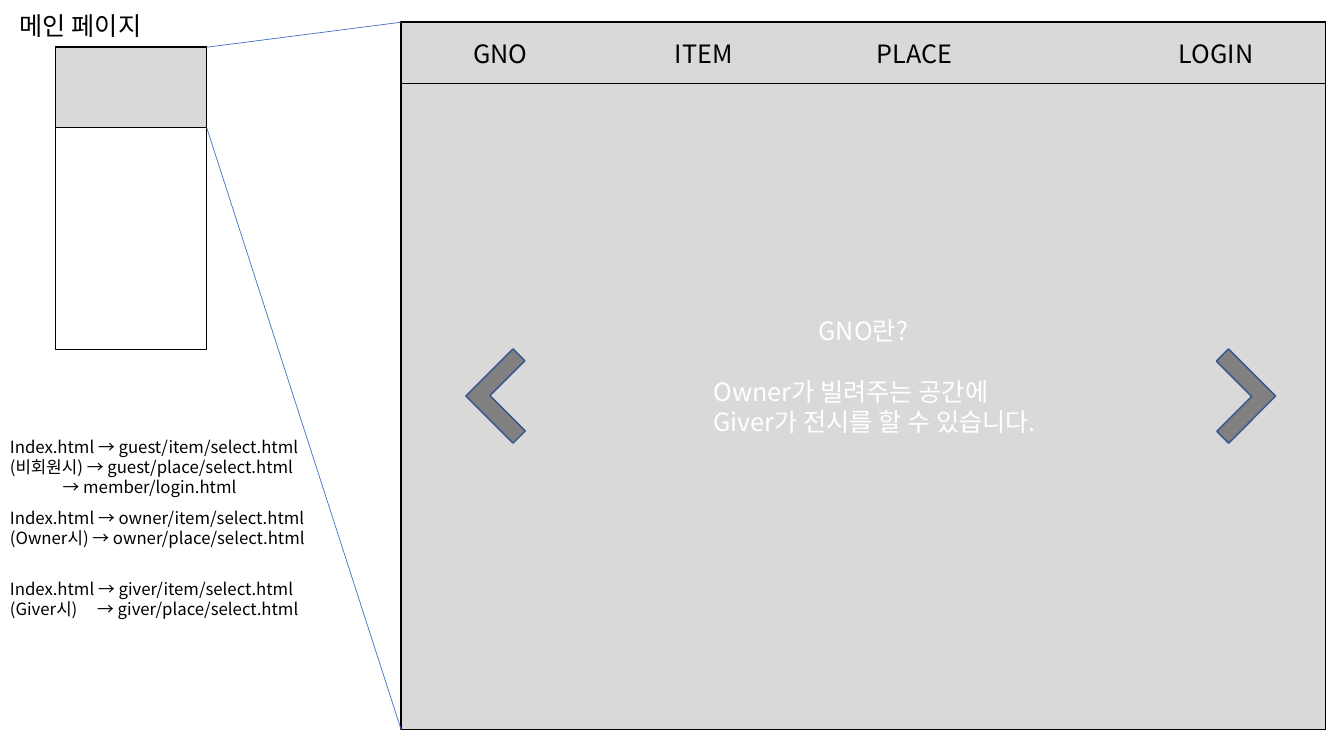
import pptx
import pptx.util
import pptx.dml.color
import pptx.enum.shapes
import pptx.enum.text
import pptx.oxml
import pptx.oxml.ns

Cm, Pt = pptx.util.Cm, pptx.util.Pt
RGB = pptx.dml.color.RGBColor
KIND = pptx.enum.shapes.MSO_SHAPE
ALIGN = pptx.enum.text.PP_ALIGN
ANCHOR = pptx.enum.text.MSO_ANCHOR

BLACK = RGB(0x00, 0x00, 0x00)
WHITE = RGB(0xFF, 0xFF, 0xFF)
PALE = RGB(0xD9, 0xD9, 0xD9)
GREY = RGB(0x80, 0x80, 0x80)
BLUE = RGB(0x44, 0x72, 0xC4)
NAVY = RGB(0x32, 0x54, 0x91)
FONT = "Noto Sans CJK KR"


def add_sub(node, tag, **attrs):
    """Append an XML child with the given attributes."""
    item = node.makeelement(pptx.oxml.ns.qn(tag), attrs)
    node.append(item)
    return item


def add_form(slide, box, fill, line=BLACK, kind=KIND.RECTANGLE):
    """Draw a filled, outlined preset shape in the box."""
    form = slide.shapes.add_shape(kind, *map(Cm, box))
    form.shadow.inherit = False
    form.fill.solid()
    form.fill.fore_color.rgb = fill
    form.line.color.rgb = line
    form.line.width = Pt(1)
    return form


def add_line(slide, start, end):
    """Draw a thin blue line between two points."""
    line = slide.shapes.add_connector(
        pptx.enum.shapes.MSO_CONNECTOR.STRAIGHT, *map(Cm, start + end))
    line.line.color.rgb = BLUE
    line.line.width = Pt(0.5)
    add_sub(line._element.spPr, "a:effectLst")


def add_para(frame, text, size=18, color=BLACK, align=ALIGN.LEFT,
             indent=0, tabs=()):
    """Add one paragraph with one run; indent and tab stops are in cm."""
    para = frame.paragraphs[0]
    if para.runs:
        para = frame.add_paragraph()
    para.alignment = align
    props = para._p.get_or_add_pPr()
    if indent:
        props.set("marL", str(Cm(indent)))
        props.set("indent", "0")
    if tabs:
        stops = add_sub(props, "a:tabLst")
        for pos in tabs:
            add_sub(stops, "a:tab", pos=str(Cm(pos)), algn="l")
    run = para.add_run()
    run.text = text
    run.font.size = Pt(size)
    run.font.name = FONT
    run.font.color.rgb = color
    add_sub(run._r.get_or_add_rPr(), "a:ea", typeface=FONT)
    return para


def add_text(slide, box):
    """Add an empty wrapping text box and return its frame."""
    frame = slide.shapes.add_textbox(*map(Cm, box)).text_frame
    frame.word_wrap = True
    return frame


def draw_thumb(slide, box, head):
    """Draw the small page with its shaded head and the title above it."""
    left, top, width, _ = box
    add_form(slide, box, WHITE)
    add_form(slide, (left, top, width, head), PALE)
    frame = add_text(slide, (left - 1.15, top - 1.06, 3.94, 1.02))
    frame.word_wrap = False
    add_para(frame, "메인 페이지")


def draw_main(slide, box):
    """Draw the enlarged head: menu bar, message and two arrows."""
    left, top, width, _ = box
    frame = add_form(slide, box, PALE).text_frame
    frame.vertical_anchor = ANCHOR.MIDDLE
    add_para(frame, "GNO란?", color=WHITE, align=ALIGN.CENTER)
    lead = add_para(frame, "Owner가 빌려주는 공간에", color=WHITE, indent=7.62)
    lead.space_before = Pt(21.6)
    add_para(frame, "Giver가 전시를 할 수 있습니다.", color=WHITE, indent=7.62)

    frame = add_form(slide, (left, top, width, 1.55), PALE).text_frame
    frame.vertical_anchor = ANCHOR.MIDDLE
    frame.margin_left = Cm(1.82)
    add_para(frame, "GNO\tITEM\tPLACE\tLOGIN", tabs=(5.08, 10.16, 17.78))

    side = 1.68
    for place, turn in ((1.98, 45), (width - side - 1.6, 225)):
        arrow = add_form(slide, (left + place, top + 8.58, side, side),
                         GREY, NAVY, KIND.CORNER)
        arrow.rotation = turn
        arrow.adjustments[0] = 0.26
        arrow.adjustments[1] = 0.25


def draw_notes(slide, box):
    """List the page routes of each kind of user, one block below another."""
    left, top, width, height = box
    blocks = (
        (("Index.html → guest/item/select.html", {}),
         ("(비회원시) → guest/place/select.html", {}),
         ("→ member/login.html", {"indent": 1.33})),
        (("Index.html → owner/item/select.html", {}),
         ("(Owner시) → owner/place/select.html", {})),
        (("Index.html → giver/item/select.html", {}),
         ("(Giver시)\t→ giver/place/select.html", {"tabs": (2.2,)})),
    )
    step = height / len(blocks)
    for row, block in enumerate(blocks):
        frame = add_text(slide, (left, top + row * step, width, step))
        for text, style in block:
            add_para(frame, text, 12, **style)


def build():
    """Build the slide and save it."""
    deck = pptx.Presentation()
    deck.slide_width, deck.slide_height = Cm(33.87), Cm(19.05)
    slide = deck.slides.add_slide(deck.slide_layouts[6])
    thumb, head = (1.4, 1.19, 3.81, 7.62), 2.03
    main = (10.11, 0.56, 23.29, 17.83)
    draw_main(slide, main)
    draw_thumb(slide, thumb, head)
    edge = thumb[0] + thumb[2]
    add_line(slide, (edge, thumb[1]), main[:2])
    add_line(slide, (edge, thumb[1] + head), (main[0], main[1] + main[3]))
    draw_notes(slide, (0, 10.87, 8.69, 5.37))
    deck.save("out.pptx")


build()
